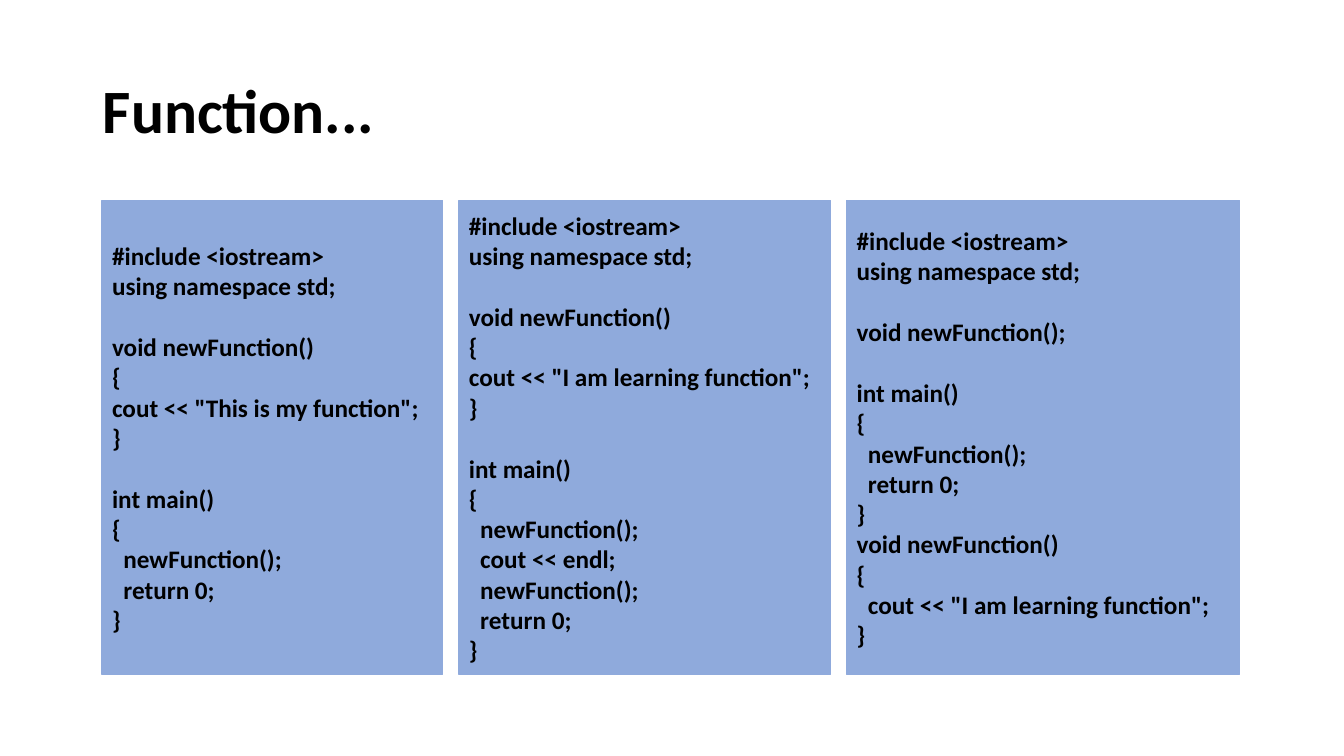
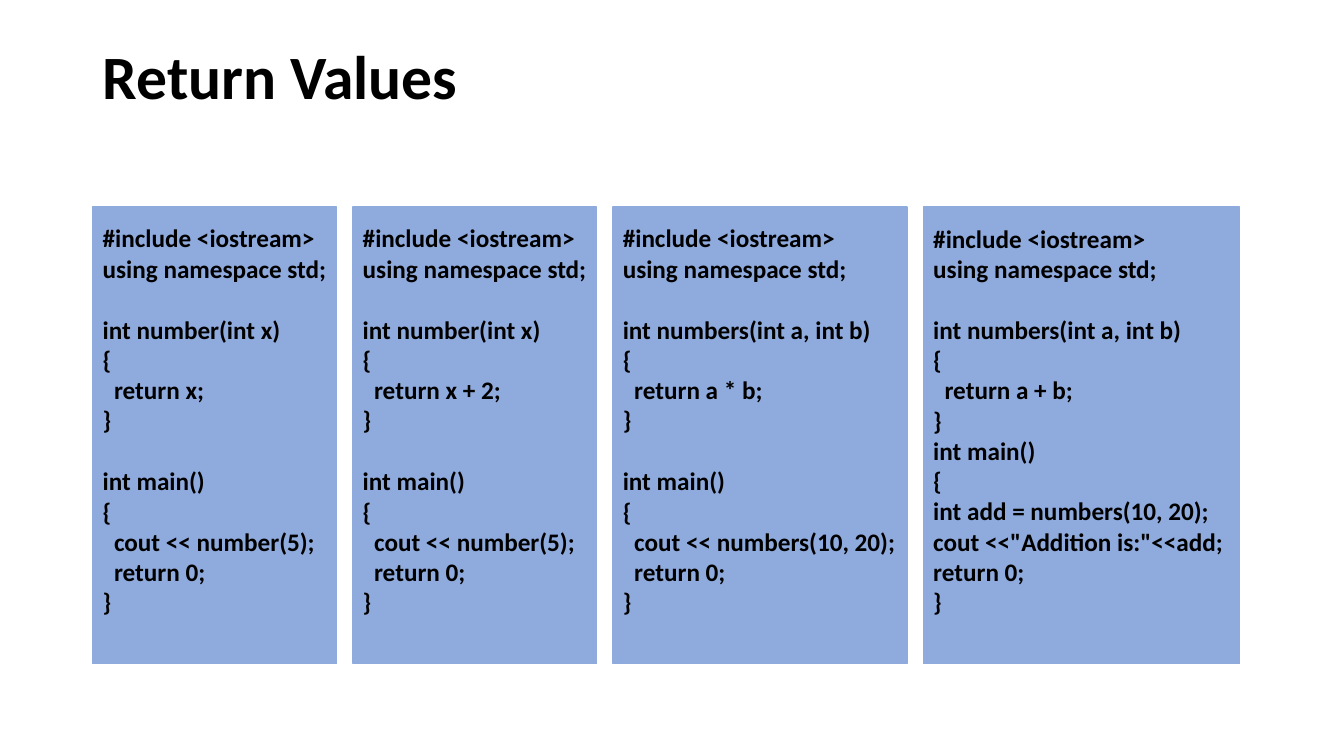
from pptx import Presentation, util as u
from pptx.dml.color import RGBColor
from pptx.enum import shapes, text

FONT = "Calibri"
INK = "000000"
PANEL = "8FAADC"
CODE_SIZE = 18
CODE_LINE = 22
PANEL_GAP = 1.2

PREAMBLE = "#include <iostream>\nusing namespace std;"

FUNCTION_CODE = [
    '''void newFunction()
{
cout << "This is my function";
}

int main()
{
  newFunction();
  return 0;
}''',
    '''void newFunction()
{
cout << "I am learning function";
}

int main()
{
  newFunction();
  cout << endl;
  newFunction();
  return 0;
}''',
    '''void newFunction();

int main()
{
  newFunction();
  return 0;
}
void newFunction()
{
  cout << "I am learning function";
}''',
]

RETURN_CODE = '''{signature}
{{
  return {result};
}}

int main()
{{
  cout << {call};
  return 0;
}}'''

ADDITION_CODE = '''int numbers(int a, int b)
{
  return a + b;
}
int main()
{
int add = numbers(10, 20);
cout <<"Addition is:"<<add;
return 0;
}'''


def color(value):
    return RGBColor.from_string(value)


def write(paragraph, words, size=CODE_SIZE, bold=True, ink=INK, before=0, spacing=None):
    paragraph.text = words
    paragraph.alignment = text.PP_ALIGN.LEFT
    paragraph.space_before = u.Pt(before)
    paragraph.line_spacing = spacing
    paragraph.font.name = FONT
    paragraph.font.size = u.Pt(size)
    paragraph.font.bold = bold
    paragraph.font.color.rgb = color(ink)


class Deck:
    def __init__(self):
        self.show = Presentation()
        self.show.slide_width = u.Inches(13.33)
        self.show.slide_height = u.Inches(7.5)
        self.slide = None

    def box(self, left, top, width, height):
        across = self.show.slide_width / 100
        down = self.show.slide_height / 100
        return [round(n) for n in (left * across, top * down, width * across, height * down)]

    def new_slide(self, heading, height):
        self.slide = self.show.slides.add_slide(self.show.slide_layouts[5])
        title = self.slide.shapes.title
        title.left, title.top, title.width, title.height = self.box(6.9, 5.33, 86.25, height)
        frame = title.text_frame
        frame.word_wrap = True
        frame.auto_size = text.MSO_AUTO_SIZE.NONE
        frame.vertical_anchor = text.MSO_ANCHOR.MIDDLE
        write(frame.paragraphs[0], heading, size=44, spacing=0.9)

    def code_panel(self, code, left, top, width, height, bottom_inset):
        panel = self.slide.shapes.add_shape(
            shapes.MSO_SHAPE.RECTANGLE, *self.box(left, top, width, height))
        panel.shadow.inherit = False
        panel.fill.solid()
        panel.fill.fore_color.rgb = color(PANEL)
        panel.line.color.rgb = color(PANEL)
        panel.line.width = u.Pt(1)
        frame = panel.text_frame
        frame.word_wrap = True
        frame.vertical_anchor = text.MSO_ANCHOR.MIDDLE
        frame.margin_right = u.Inches(0.05)
        frame.margin_bottom = u.Inches(bottom_inset)
        paragraph = frame.paragraphs[0]
        for block_index, block in enumerate(code.split("\n\n")):
            for line_index, line in enumerate(block.split("\n")):
                if block_index or line_index:
                    paragraph = frame.add_paragraph()
                starts_block = block_index and not line_index
                write(paragraph, line, before=CODE_LINE if starts_block else 0)

    def code_row(self, listings, widths, left, top, height, bottom_inset=0.05):
        for listing, width in zip(listings, widths):
            code = f"{PREAMBLE}\n\n{listing}"
            self.code_panel(code, left, top, width, height, bottom_inset)
            left += width + PANEL_GAP


def main():
    deck = Deck()

    deck.new_slide("Function...", height=19.33)
    deck.code_row(FUNCTION_CODE, [25.35, 27.65, 29.25], left=7.6, top=26.5, height=62.7)

    deck.new_slide("Return Values", height=10.4)
    returns = [
        ("int number(int x)", "x", "number(5)"),
        ("int number(int x)", "x + 2", "number(5)"),
        ("int numbers(int a, int b)", "a * b", "numbers(10, 20)"),
    ]
    listings = [RETURN_CODE.format(signature=signature, result=result, call=call)
                for signature, result, call in returns]
    deck.code_row(listings + [ADDITION_CODE], [18.15, 18.15, 21.9, 23.55],
                  left=6.9, top=27.4, height=60.4, bottom_inset=0.36)

    deck.show.save("out.pptx")


if __name__ == "__main__":
    main()
